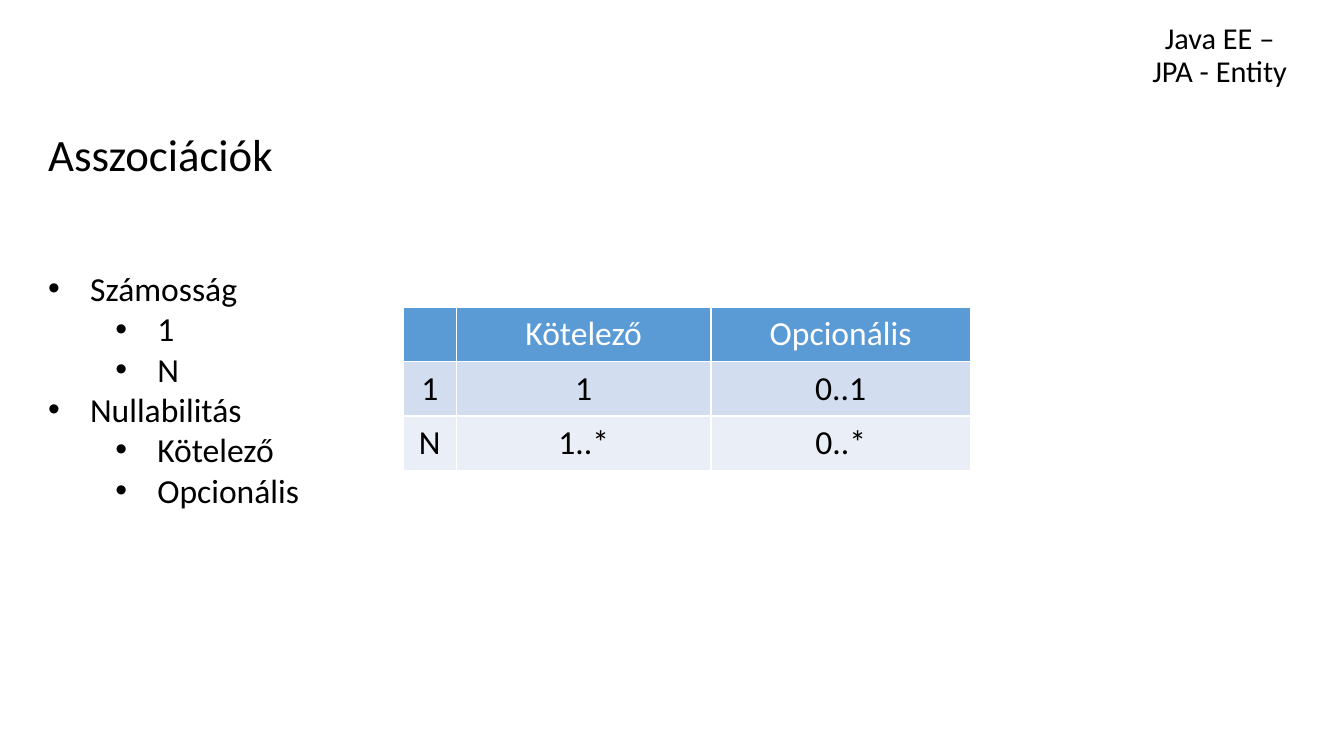
from lxml.etree import SubElement
from pptx import Presentation
from pptx.dml.color import RGBColor
from pptx.enum.text import MSO_ANCHOR, PP_ALIGN
from pptx.oxml.ns import qn
from pptx.util import Pt

COURSE = "Java EE –\vJPA - Entity"
HEADING = "Asszociációk"
CONCEPTS = [
    ("Számosság", ["1", "N"]),
    ("Nullabilitás", ["Kötelező", "Opcionális"]),
]
MULTIPLICITIES = [
    ["", "Kötelező", "Opcionális"],
    ["1", "1", "0..1"],
    ["N", "1..*", "0..*"],
]

FONT = "Calibri"
BLACK = RGBColor(0x00, 0x00, 0x00)
WHITE = RGBColor(0xFF, 0xFF, 0xFF)
ROW_FILLS = [
    RGBColor(0x5B, 0x9B, 0xD5),
    RGBColor(0xD2, 0xDE, 0xEF),
    RGBColor(0xEA, 0xEF, 0xF7),
]
SLIDE_SIZE = (720, 405)
MARGIN, TEXT_WIDTH = 18.72, 679
COLUMN_WIDTHS = [28.5, 136.4, 139]
ROW_HEIGHT = 29.25
BODY_SIZE = 18
BULLET_INDENT, LEVEL_STEP = 22.5, 36


def format_runs(paragraph, size, color=BLACK):
    for run in paragraph.runs:
        run.font.name = FONT
        run.font.size = Pt(size)
        run.font.bold = False
        run.font.color.rgb = color


def add_text(slide, left, top, width, height):
    frame = slide.shapes.add_textbox(Pt(left), Pt(top), Pt(width), Pt(height)).text_frame
    frame.word_wrap = True
    return frame


def add_bullet(paragraph, level):
    paragraph.level = level
    properties = paragraph._p.get_or_add_pPr()
    properties.set("marL", str(Pt(BULLET_INDENT + level * LEVEL_STEP)))
    properties.set("indent", str(-Pt(BULLET_INDENT)))
    SubElement(properties, qn("a:buFont"), typeface="Arial")
    SubElement(properties, qn("a:buChar"), char="•")


def add_headings(slide):
    course = add_text(slide, 592.5, 5, 121.7, 46)
    course.vertical_anchor = MSO_ANCHOR.BOTTOM
    heading = add_text(slide, MARGIN, 67.7, TEXT_WIDTH, 34.5)
    for frame, text, size in [(course, COURSE, 16.2), (heading, HEADING, 24)]:
        paragraph = frame.paragraphs[0]
        paragraph.text = text
        paragraph.line_spacing = 0.9
        format_runs(paragraph, size)
    course.paragraphs[0].alignment = PP_ALIGN.CENTER
    heading.paragraphs[0].space_before = Pt(10)


def add_concepts(slide):
    frame = add_text(slide, MARGIN, 140, TEXT_WIDTH, 138)
    entries = []
    for concept, options in CONCEPTS:
        entries.append((concept, 0))
        entries += [(option, 1) for option in options]
    frame.text = "\n".join(text for text, level in entries)
    for paragraph, (text, level) in zip(frame.paragraphs, entries):
        add_bullet(paragraph, level)
        format_runs(paragraph, BODY_SIZE)


def add_multiplicities(slide):
    rows, columns = len(MULTIPLICITIES), len(COLUMN_WIDTHS)
    table = slide.shapes.add_table(
        rows, columns, Pt(216), Pt(164.5), Pt(sum(COLUMN_WIDTHS)), Pt(rows * ROW_HEIGHT)
    ).table
    for column, width in zip(table.columns, COLUMN_WIDTHS):
        column.width = Pt(width)
    for index, (row, texts, fill) in enumerate(zip(table.rows, MULTIPLICITIES, ROW_FILLS)):
        row.height = Pt(ROW_HEIGHT)
        for cell, text in zip(row.cells, texts):
            cell.fill.solid()
            cell.fill.fore_color.rgb = fill
            paragraph = cell.text_frame.paragraphs[0]
            paragraph.text = text
            paragraph.alignment = PP_ALIGN.CENTER
            format_runs(paragraph, BODY_SIZE, BLACK if index else WHITE)


def main():
    deck = Presentation()
    deck.slide_width, deck.slide_height = map(Pt, SLIDE_SIZE)
    slide = deck.slides.add_slide(deck.slide_layouts[6])
    add_headings(slide)
    add_concepts(slide)
    add_multiplicities(slide)
    deck.save("out.pptx")


if __name__ == "__main__":
    main()
